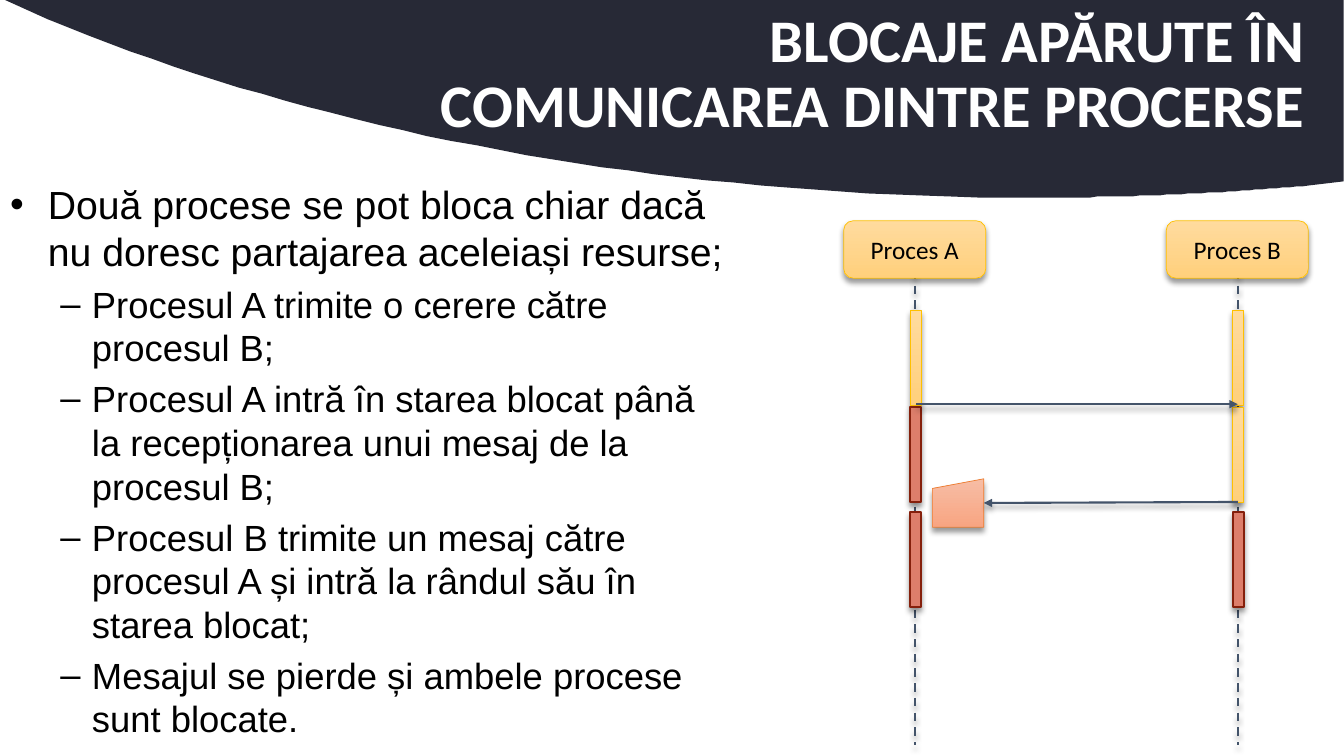
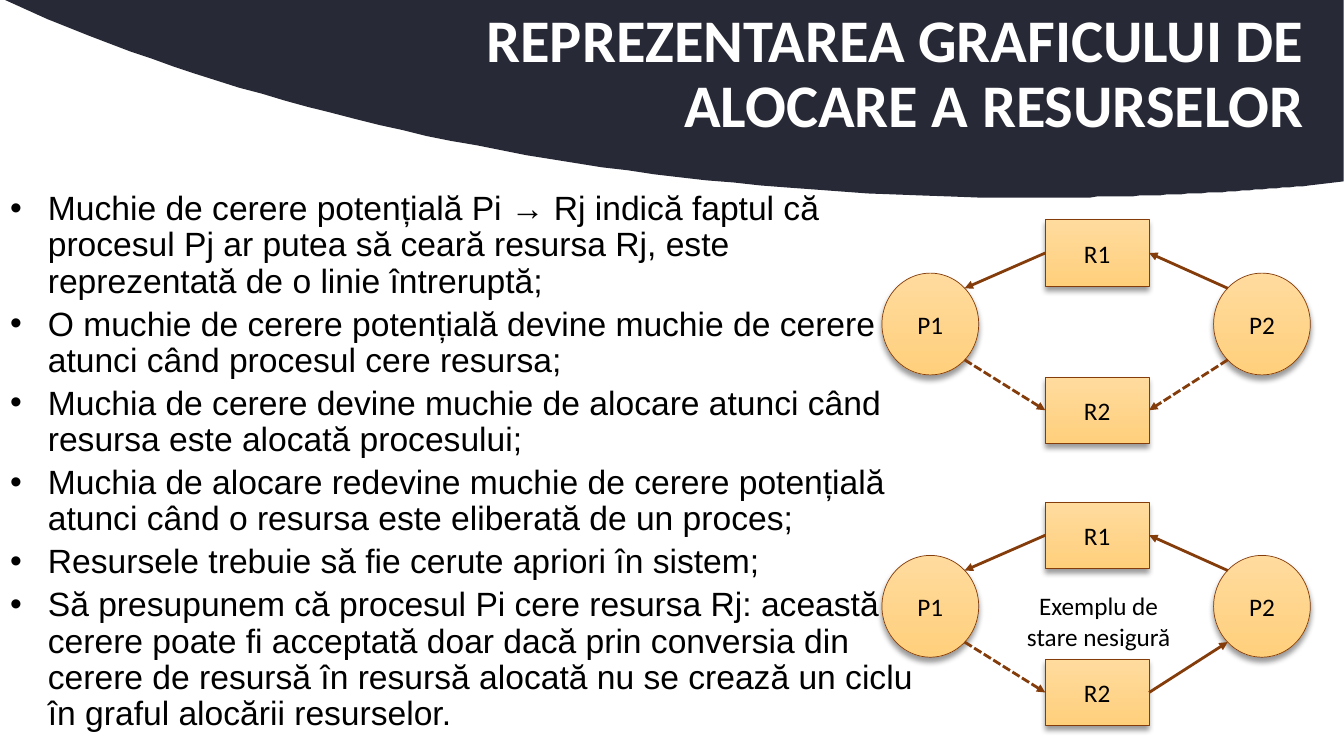
from pptx import Presentation
from pptx.dml.color import RGBColor
from pptx.enum.dml import MSO_LINE as Dash
from pptx.enum.shapes import MSO_CONNECTOR as Link, MSO_SHAPE as Kind
from pptx.enum.text import MSO_ANCHOR as Anchor, MSO_AUTO_SIZE as Fit, PP_ALIGN as Align
from pptx.oxml import parse_xml
from pptx.oxml.ns import nsdecls, qn
from pptx.util import Pt

PX = 9144  # 100 px to the inch
WIDE, HIGH = 1333, 750
NAVY, WHITE, BLACK, SLATE = "272936", "FFFFFF", "000000", "44546A"
GOLD, BROWN, BRICK, WINE = "FFC000", "843C0B", "DD7E6B", "85200C"
SAND = ("FFDB9E", "FFD07C")
PEACH, ORANGE = ("F7BDA5", "F8A582"), "ED7D31"


def px(*nums):
    return [round(n * PX) for n in nums]


def rgb(code):
    return RGBColor.from_string(code)


def write(para, text, size, color=BLACK, font="Calibri", bold=False):
    run = para.add_run()
    run.text = text
    run.font.size, run.font.name, run.font.bold = Pt(size), font, bold
    run.font.color.rgb = rgb(color)


def shade(item, on=True):
    """Give a shape or connector a soft drop shadow, or none at all."""
    props = item._element.spPr
    for old in props.findall(qn("a:effectLst")):
        props.remove(old)
    glow = ('<a:outerShdw blurRad="50800" dist="38100" dir="5400000" rotWithShape="0">'
            '<a:srgbClr val="000000"><a:alpha val="40000"/></a:srgbClr></a:outerShdw>')
    props.append(parse_xml(f'<a:effectLst {nsdecls("a")}>{glow if on else ""}</a:effectLst>'))


def stroke(slide, start, end, color, width, dash=None, arrow=False, shadow=False):
    line = slide.shapes.add_connector(Link.STRAIGHT, *px(*start, *end))
    line.line.color.rgb, line.line.width = rgb(color), Pt(width)
    if dash:
        line.line.dash_style = dash
    if arrow:
        line.line._get_or_add_ln().append(
            parse_xml(f'<a:tailEnd {nsdecls("a")} type="triangle"/>'))
    shade(line, shadow)


def block(slide, kind, box, fill, edge, width=0.5, text=None):
    """Add a shadowed shape; a pair of fill colours runs from top to bottom."""
    shape = slide.shapes.add_shape(kind, *px(*box))
    if isinstance(fill, tuple):
        shape.fill.gradient()
        shape.fill.gradient_angle = 270
        for stop, code in zip(shape.fill.gradient_stops, fill):
            stop.color.rgb = rgb(code)
    else:
        shape.fill.solid()
        shape.fill.fore_color.rgb = rgb(fill)
    shape.line.color.rgb, shape.line.width = rgb(edge), Pt(width)
    shade(shape)
    if text:
        frame = shape.text_frame
        frame.vertical_anchor = Anchor.MIDDLE
        frame.paragraphs[0].alignment = Align.CENTER
        write(frame.paragraphs[0], text, 18)


def curve(a, b, c, d, steps=40):
    """Points of a cubic curve after its start."""
    for i in range(1, steps + 1):
        t = i / steps
        u = 1 - t
        yield tuple(u**3 * p + 3 * u * u * t * q + 3 * u * t * t * r + t**3 * s
                    for p, q, r, s in zip(a, b, c, d))


def add_wave(slide):
    """Draw the dark header and move it to the layout, behind all slides."""
    tip, low, end = (1299, 184), (1026, 196), (47, 19)
    points = [(WIDE, 0), (WIDE, 180), tip,
              *curve(tip, (1210, 192), (1119, 196), low),
              *curve(low, (654, 196), (313, 130), end)]
    path = slide.shapes.build_freeform(5, 0, scale=PX)
    path.add_line_segments(points, close=True)
    wave = path.convert_to_shape()
    wave.fill.solid()
    wave.fill.fore_color.rgb = rgb(NAVY)
    wave.line.fill.background()
    wave.shadow.inherit = False
    slide.slide_layout.shapes._spTree.insert(2, wave._element)


def place(holder, box):
    holder.left, holder.top, holder.width, holder.height = px(*box)
    frame = holder.text_frame
    frame.word_wrap, frame.auto_size = True, Fit.NONE
    return frame


def add_title(slide, lines):
    frame = place(slide.shapes.title, (92, 2, 1242, 145))
    frame.vertical_anchor = Anchor.MIDDLE
    frame.margin_right = px(40)[0]
    para = frame.paragraphs[0]
    para.alignment, para.line_spacing = Align.RIGHT, 0.9
    for i, line in enumerate(lines):
        if i:
            para.add_line_break()
        write(para, line, 43.2, WHITE, bold=True)


def add_list(slide, box, items, sizes, space):
    """Fill the body with (level, text) items, sized by level."""
    frame = place(slide.placeholders[1], box)
    for i, (level, text) in enumerate(items):
        para = frame.add_paragraph() if i else frame.paragraphs[0]
        para.level, para.line_spacing = level, space
        if not i:
            para.space_before = Pt(0)
        write(para, text, sizes[level], font="Arial")


def add_flow(slide, left, top):
    """Draw the message exchange of two processes."""
    calm, stuck = (SAND, GOLD, 0.5), (BRICK, WINE, 1.5)
    lanes = (("Proces A", (calm, stuck, stuck)), ("Proces B", (calm, calm, stuck)))
    axes = [left + 71, left + 391]
    for axis, (name, states) in zip(axes, lanes):
        stroke(slide, (axis, top + 6), (axis, top + 520), SLATE, 1.5, Dash.DASH, shadow=True)
        block(slide, Kind.ROUNDED_RECTANGLE, (axis - 71, top, 141, 57), SAND, GOLD, text=name)
        for drop, state in zip((89, 185, 289), states):
            block(slide, Kind.RECTANGLE, (axis - 5, top + drop, 11, 94), *state)
    block(slide, Kind.FLOWCHART_MANUAL_INPUT, (left + 88, top + 256, 51, 48), PEACH, ORANGE)
    for start, end in (((axes[0] + 1, top + 182), (axes[1], top + 182)),
                       ((axes[1], top + 279), (left + 139, top + 280))):
        stroke(slide, start, end, SLATE, 1.5, arrow=True, shadow=True)


def add_graph(slide, left, top, held=False):
    """Draw two processes and two resources; held means P2 owns R2."""
    for name, drop in (("R1", 0), ("R2", 156)):
        block(slide, Kind.RECTANGLE, (left + 162, top + drop, 103, 66), SAND, BROWN, text=name)
    for name, shift in (("P1", 0), ("P2", 329)):
        block(slide, Kind.OVAL, (left + shift, top + 53, 96, 101), SAND, BROWN, text=name)
    edges = [((162, 33), (82, 68), None), ((343, 68), (265, 33), None),
             ((82, 139), (162, 189), Dash.SQUARE_DOT),
             ((265, 189), (343, 139), None) if held
             else ((343, 139), (265, 189), Dash.SQUARE_DOT)]
    for (x, y), (u, v), dash in edges:
        stroke(slide, (left + x, top + y), (left + u, top + v), BROWN, 2, dash, arrow=True)


def add_note(slide, box, lines):
    frame = slide.shapes.add_textbox(*px(*box)).text_frame
    frame.word_wrap = False
    for i, line in enumerate(lines):
        para = frame.add_paragraph() if i else frame.paragraphs[0]
        para.alignment = Align.CENTER
        write(para, line, 18)


def add_locks(slide):
    add_title(slide, ("BLOCAJE APĂRUTE ÎN", "COMUNICAREA DINTRE PROCERSE"))
    add_list(slide, (0, 174, 736, 569), (
        (0, "Două procese se pot bloca chiar dacă nu doresc partajarea aceleiași resurse;"),
        (1, "Procesul A trimite o cerere către procesul B;"),
        (1, "Procesul A intră în starea blocat până la recepționarea unui mesaj "
            "de la procesul B;"),
        (1, "Procesul B trimite un mesaj către procesul A și intră la rândul său "
            "în starea blocat;"),
        (1, "Mesajul se pierde și ambele procese sunt blocate."),
    ), (28, 26), 1.0)
    add_flow(slide, 837, 219)


def add_edges(slide):
    add_title(slide, ("REPREZENTAREA GRAFICULUI DE", "ALOCARE A RESURSELOR"))
    add_list(slide, (0, 185, 921, 567), [(0, text) for text in (
        "Muchie de cerere potențială Pi → Rj indică faptul că procesul Pj ar putea "
        "să ceară resursa Rj, este reprezentată de o linie întreruptă;",
        "O muchie de cerere potențială devine muchie de cerere atunci când procesul "
        "cere resursa;",
        "Muchia de cerere devine muchie de alocare atunci când resursa este alocată "
        "procesului;",
        "Muchia de alocare redevine muchie de cerere potențială atunci când o resursa "
        "este eliberată de un proces;",
        "Resursele trebuie să fie cerute apriori în sistem;",
        "Să presupunem că procesul Pi cere resursa Rj: această cerere poate fi acceptată "
        "doar dacă prin conversia din cerere de resursă în resursă alocată nu se crează "
        "un ciclu în graful alocării resurselor.",
    )], (24,), 0.9)
    add_graph(slide, 875, 218)
    add_graph(slide, 875, 498, held=True)
    add_note(slide, (1008, 581, 164, 71), ("Exemplu de", "stare nesigură"))


def main():
    deck = Presentation()
    deck.slide_width, deck.slide_height = px(WIDE + 1 / 3, HIGH)
    layout = deck.slide_layouts[1]
    slides = [deck.slides.add_slide(layout) for _ in range(2)]
    add_wave(slides[0])
    add_locks(slides[0])
    add_edges(slides[1])
    deck.save("out.pptx")


if __name__ == "__main__":
    main()
